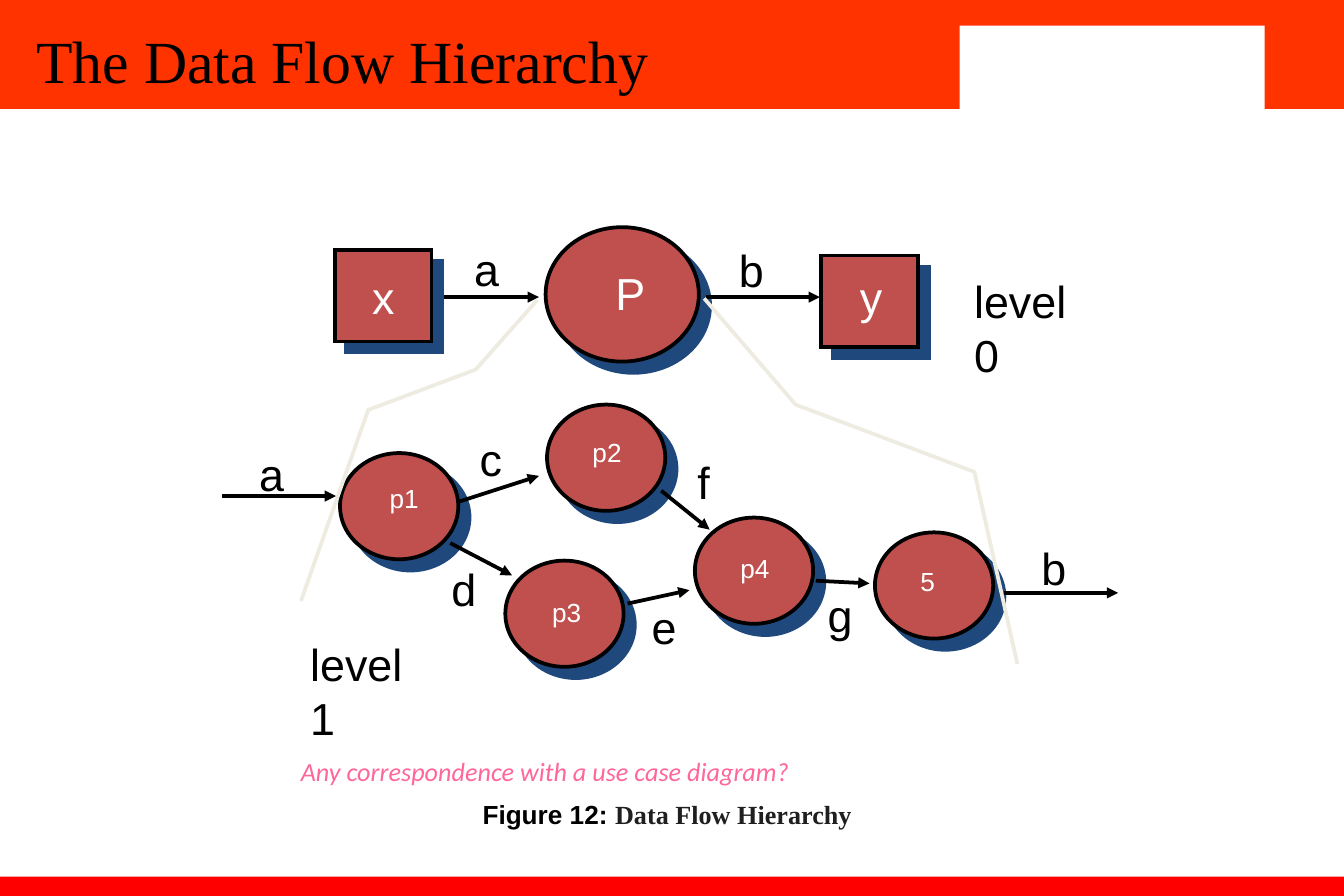
from lxml import etree
from pptx import Presentation
from pptx.dml.color import RGBColor
from pptx.enum.shapes import MSO_CONNECTOR, MSO_SHAPE
from pptx.enum.text import MSO_ANCHOR, MSO_AUTO_SIZE, PP_ALIGN
from pptx.oxml.ns import qn
from pptx.util import Emu, Inches, Pt

BLACK = RGBColor(0x00, 0x00, 0x00)
WHITE = RGBColor(0xFF, 0xFF, 0xFF)
ORANGE = RGBColor(0xFF, 0x33, 0x00)
RED = RGBColor(0xFF, 0x00, 0x00)
BRICK = RGBColor(0xC0, 0x50, 0x4D)
NAVY = RGBColor(0x1F, 0x49, 0x7D)
CREAM = RGBColor(0xEE, 0xEC, 0xE1)
PINK = RGBColor(0xFF, 0x66, 0x99)
CHARCOAL = RGBColor(0x1F, 0x1F, 0x1F)


def add_run(p, text, size=24, font="Arial", color=BLACK, bold=False, italic=False):
    r = p.add_run()
    r.text = text
    r.font.size = Pt(size)
    r.font.name = font
    r.font.color.rgb = color
    r.font.bold = bold
    r.font.italic = italic


class Diagram:
    line_width = Pt(2)

    def __init__(self, s):
        self.s = s

    def band(self, x, y, w, h, color):
        sp = self.s.shapes.add_shape(MSO_SHAPE.RECTANGLE, Inches(x), Inches(y), Inches(w), Inches(h))
        sp.shadow.inherit = False
        sp.fill.solid()
        sp.fill.fore_color.rgb = color
        sp.line.fill.background()

    def title(self, text, x, y, w, h):
        sp = self.s.shapes.title
        sp.left, sp.top, sp.width, sp.height = Inches(x), Inches(y), Inches(w), Inches(h)
        sp.element.getparent().append(sp.element)
        tf = sp.text_frame
        tf.auto_size = MSO_AUTO_SIZE.NONE
        tf.vertical_anchor = MSO_ANCHOR.MIDDLE
        p = tf.paragraphs[0]
        p.alignment = PP_ALIGN.LEFT
        p.line_spacing = 0.9
        add_run(p, text, size=32, font="Times New Roman")

    def node(self, kind, x, y, w, h):
        sp = self.s.shapes.add_shape(kind, Inches(x), Inches(y), Inches(w), Inches(h))
        sp.shadow.inherit = False
        sp.fill.solid()
        sp.fill.fore_color.rgb = BRICK
        sp.line.color.rgb = BLACK
        sp.line.width = self.line_width
        if kind == MSO_SHAPE.RECTANGLE:
            etree.SubElement(sp.element.spPr.find(qn("a:ln")), qn("a:miter"), lim="800000")
        effects = sp.element.spPr.find(qn("a:effectLst"))
        shadow = etree.SubElement(effects, qn("a:outerShdw"), blurRad="0", dist=str(Pt(8.5)),
                                  dir="2700000", algn="ctr", rotWithShape="0")
        etree.SubElement(shadow, qn("a:srgbClr"), val=str(NAVY))

    def arrow(self, x1, y1, x2, y2):
        c = self.s.shapes.add_connector(MSO_CONNECTOR.STRAIGHT, Inches(x1), Inches(y1),
                                        Inches(x2), Inches(y2))
        c.line.color.rgb = BLACK
        c.line.width = self.line_width
        spPr = c.element.spPr
        etree.SubElement(spPr.find(qn("a:ln")), qn("a:tailEnd"), type="triangle")
        etree.SubElement(spPr, qn("a:effectLst"))

    def outline(self, points):
        start, *rest = [(Inches(x), Inches(y)) for x, y in points]
        builder = self.s.shapes.build_freeform(*start)
        builder.add_line_segments(rest, close=False)
        sp = builder.convert_to_shape()
        sp.shadow.inherit = False
        sp.fill.background()
        sp.line.color.rgb = CREAM
        sp.line.width = self.line_width

    def text(self, x, y, w, h, *runs, wrap=False, align=PP_ALIGN.LEFT):
        tf = self.s.shapes.add_textbox(Inches(x), Inches(y), Inches(w), Inches(h)).text_frame
        tf.word_wrap = wrap
        tf.auto_size = MSO_AUTO_SIZE.SHAPE_TO_FIT_TEXT
        p = tf.paragraphs[0]
        p.alignment = align
        for text, style in runs:
            add_run(p, text, **style)


prs = Presentation()
prs.slide_width = Inches(10)
prs.slide_height = Emu(6094413)
s = prs.slides.add_slide(prs.slide_layouts[5])
d = Diagram(s)

d.band(0, 0, 10, 0.81, ORANGE)
d.band(7.14, 0.19, 2.27, 0.66, WHITE)
d.band(0, 6.52, 10, 0.19, RED)
d.title("The Data Flow Hierarchy", 0.17, 0.33, 7.67, 0.29)

d.node(MSO_SHAPE.OVAL, 4.06, 1.69, 1.14, 1)
for ends in [(3.17, 2.21, 4.01, 2.21), (5.25, 2.21, 6.1, 2.21)]:
    d.arrow(*ends)
for x, y in [(2.49, 1.86), (6.11, 1.9)]:
    d.node(MSO_SHAPE.RECTANGLE, x, y, 0.72, 0.68)
for x, y in [(2.53, 3.37), (4.07, 3.01), (3.76, 4.17), (5.17, 3.85), (6.51, 3.96)]:
    d.node(MSO_SHAPE.OVAL, x, y, 0.88, 0.79)

for ends in [
    (1.65, 3.69, 2.5, 3.69),
    (7.47, 4.41, 8.32, 4.41),
    (3.42, 3.73, 4.01, 3.54),
    (3.35, 4.04, 3.81, 4.28),
    (4.67, 4.49, 5.13, 4.39),
    (4.92, 3.65, 5.28, 3.94),
    (6.07, 4.32, 6.47, 4.34),
]:
    d.arrow(*ends)

d.outline([(4, 2.23), (3.54, 2.75), (2.74, 3.05), (2.24, 4.47)])
d.outline([(5.24, 2.22), (5.92, 3.01), (7.25, 3.51), (7.57, 4.94)])

for text, x, y, w in [("P", 4.48, 1.93, 0.42), ("x", 2.67, 1.96, 0.36), ("y", 6.3, 1.96, 0.36)]:
    d.text(x, y, w, 0.5, (text, dict(color=WHITE)))

for text, x, y, w in [
    ("p1", 2.8, 3.54, 0.42),
    ("p2", 4.31, 3.2, 0.42),
    ("p3", 4.01, 4.39, 0.42),
    ("p4", 5.41, 4.06, 0.42),
    ("5", 6.75, 4.16, 0.31),
]:
    d.text(x, y, w, 0.33, (text, dict(size=14, color=WHITE)))

for text, x, y, w in [
    ("a", 3.43, 1.75, 0.38),
    ("b", 5.4, 1.76, 0.38),
    ("a", 1.83, 3.27, 0.38),
    ("b", 7.65, 3.97, 0.38),
    ("c", 3.47, 3.16, 0.36),
    ("d", 3.26, 4.13, 0.38),
    ("e", 4.75, 4.41, 0.38),
    ("f", 5.09, 3.33, 0.29),
    ("g", 6.06, 4.32, 0.38),
    ("level 0", 7.15, 1.99, 1.16),
    ("level 1", 2.21, 4.69, 1.16),
]:
    d.text(x, y, w, 0.5, (text, {}))

d.text(2.14, 5.57, 3.84, 0.34,
       ("Any correspondence with a use case diagram?",
        dict(size=14, font="Calibri", color=PINK, italic=True)))
d.text(2.45, 5.89, 5.03, 0.57,
       ("Figure 12: ", dict(size=14, bold=True)),
       ("Data Flow Hierarchy", dict(size=14, font="Times New Roman", color=CHARCOAL, bold=True)),
       wrap=True, align=PP_ALIGN.CENTER)

prs.save("out.pptx")
